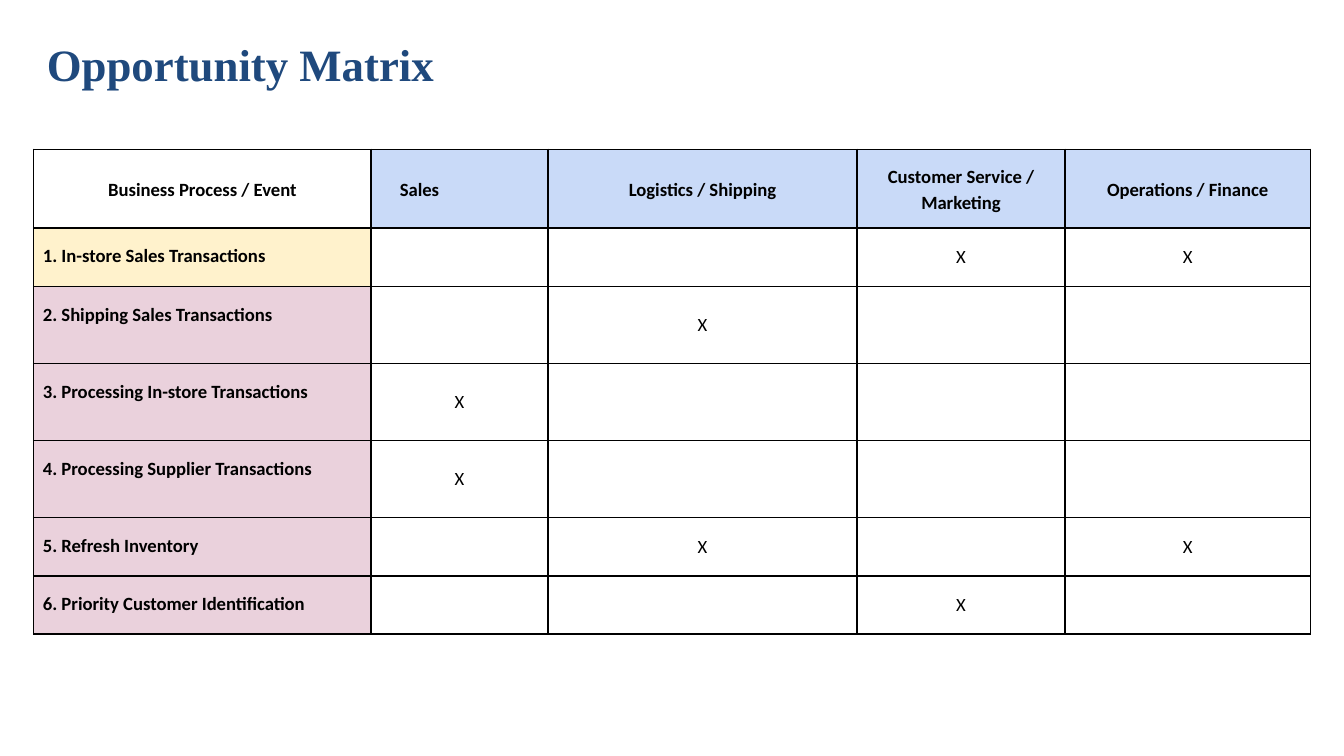
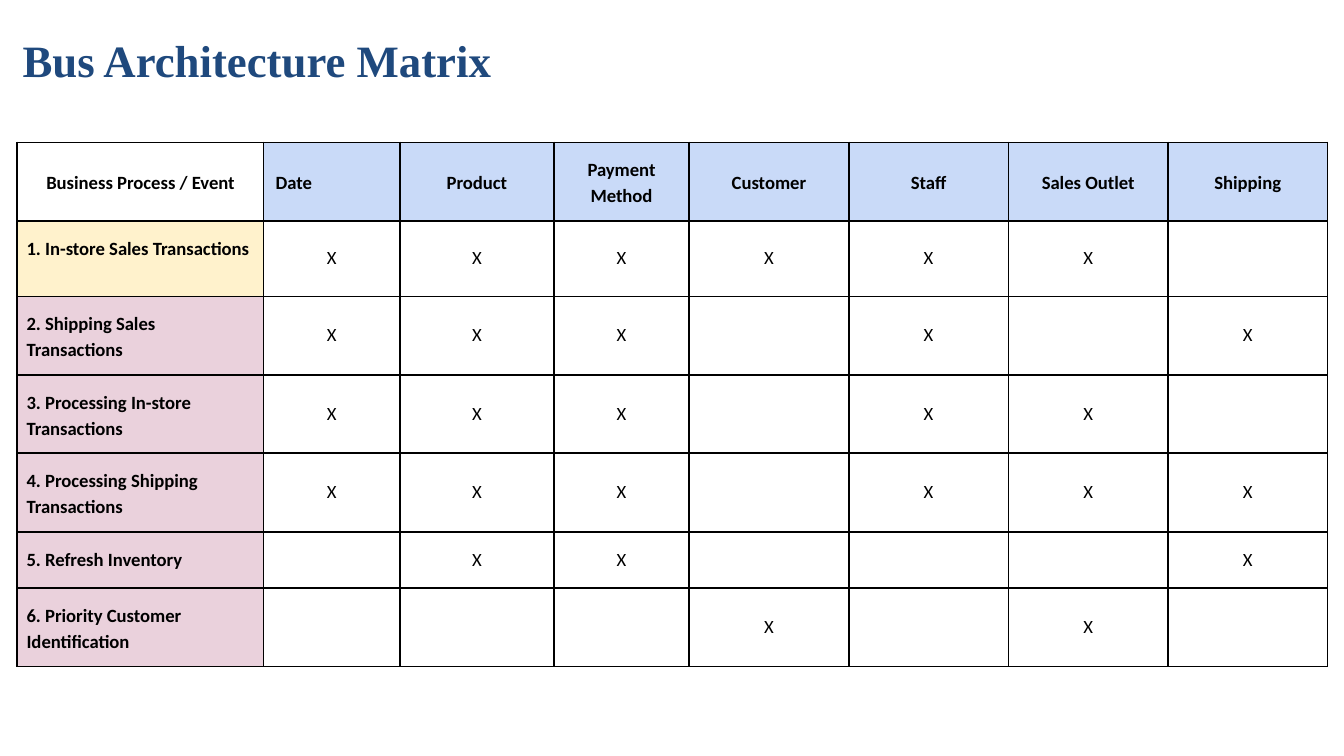
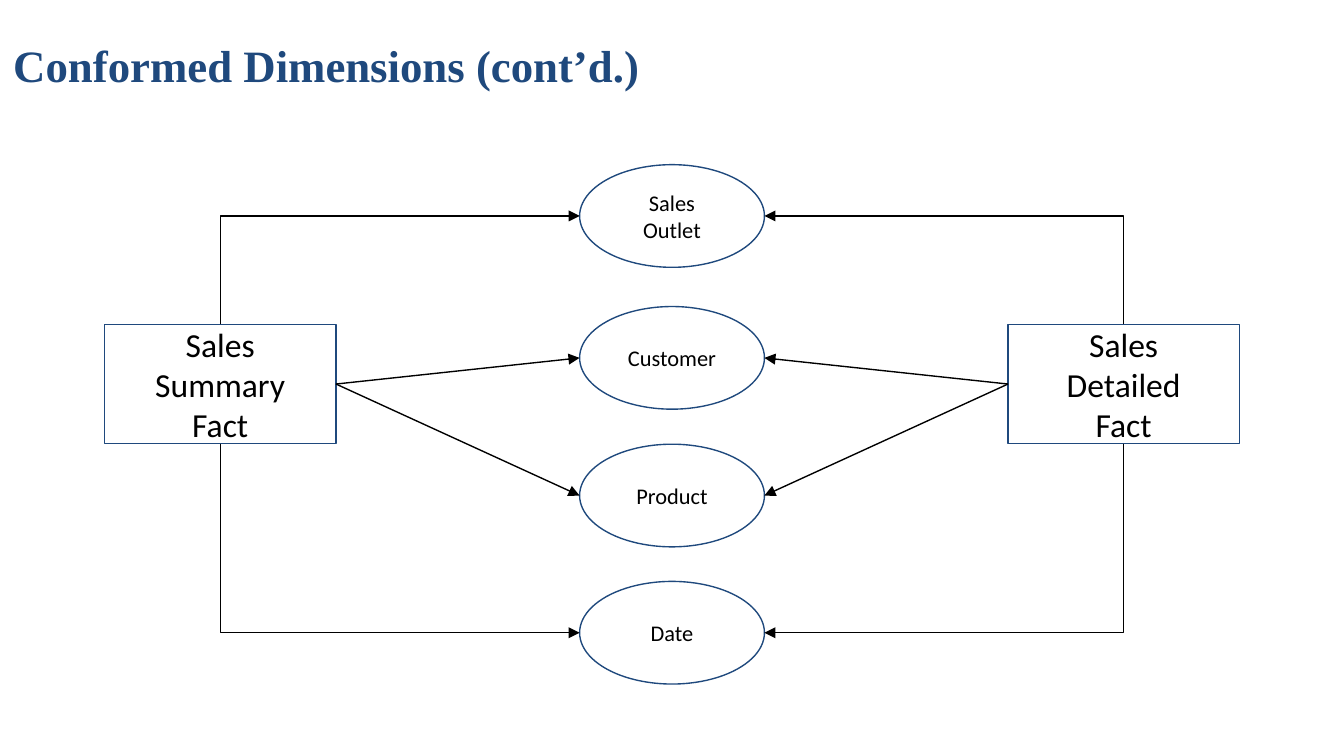
from dataclasses import dataclass

import pptx
import pptx.dml.color
import pptx.enum.shapes
import pptx.enum.text
import pptx.oxml
import pptx.oxml.ns
import pptx.util
from pptx.util import Pt

COLORS = {
    "navy": "1F497D",
    "black": "000000",
    "white": "FFFFFF",
    "dimension": "C9DAF8",
    "first_process": "FFF2CC",
    "process": "EAD1DC",
}
BODY_FONT = "Calibri"
TITLE_FONT = "Times New Roman"
SLIDE_WIDTH, SLIDE_HEIGHT = 720, 405
INSET = 7.2
CELL_INSET = 5
CENTER = pptx.enum.text.PP_ALIGN.CENTER
LEFT = pptx.enum.text.PP_ALIGN.LEFT
MIDDLE = pptx.enum.text.MSO_ANCHOR.MIDDLE
TOP = pptx.enum.text.MSO_ANCHOR.TOP
SHAPES = pptx.enum.shapes.MSO_SHAPE
CONNECTORS = pptx.enum.shapes.MSO_CONNECTOR


@dataclass
class Title:
    text: str
    left: float
    top: float
    spacing: float | None = None


@dataclass
class Matrix:
    left: float
    top: float
    columns: list[float]
    rows: list[float]
    dimensions: list[str]
    first_indent: float  # extra left inset of the first dimension heading
    processes: list[tuple[str, str]]  # label, one "X" or "." per dimension


@dataclass
class Node:
    text: str
    left: float
    top: float
    width: float
    height: float
    kind: int
    size: float

    @property
    def right(self) -> float:
        return self.left + self.width

    @property
    def bottom(self) -> float:
        return self.top + self.height

    @property
    def center(self) -> tuple[float, float]:
        return self.left + self.width / 2, self.top + self.height / 2


def rgb(name: str) -> pptx.dml.color.RGBColor:
    return pptx.dml.color.RGBColor.from_string(COLORS[name])


def write(frame, text: str, *, size: float, font: str = BODY_FONT, color: str = "black",
          bold: bool = False, align=LEFT, spacing: float | None = None) -> None:
    """Fill a text frame, one paragraph per line of text."""
    frame.word_wrap = True
    for number, line in enumerate(text.split("\n")):
        paragraph = frame.add_paragraph() if number else frame.paragraphs[0]
        paragraph.alignment = align
        paragraph.line_spacing = spacing
        run = paragraph.add_run()
        run.text = line
        run.font.size = Pt(size)
        run.font.name = font
        run.font.bold = bold
        run.font.color.rgb = rgb(color)


def set_insets(frame) -> None:
    frame.margin_left = frame.margin_right = Pt(INSET)
    frame.margin_top = frame.margin_bottom = Pt(INSET)
    frame.vertical_anchor = MIDDLE


def add_titled_slide(deck, title: Title):
    slide = deck.slides.add_slide(deck.slide_layouts[6])
    box = slide.shapes.add_textbox(Pt(title.left), Pt(title.top), Pt(671), Pt(45.4))
    set_insets(box.text_frame)
    write(box.text_frame, title.text, size=24, font=TITLE_FONT, color="navy",
          bold=True, spacing=title.spacing)
    return slide


def style_cell(cell, fill: str) -> None:
    """Give a cell its black border and its fill."""
    properties = cell._tc.get_or_add_tcPr()
    for side in ("lnL", "lnR", "lnT", "lnB"):
        properties.append(pptx.oxml.parse_xml(
            f'<a:{side} {pptx.oxml.ns.nsdecls("a")} w="{Pt(1)}"><a:solidFill>'
            f'<a:srgbClr val="{COLORS["black"]}"/></a:solidFill></a:{side}>'))
    cell.fill.solid()
    cell.fill.fore_color.rgb = rgb(fill)


def write_cell(cell, text: str, *, anchor=MIDDLE, indent: float = 0, **text_format) -> None:
    cell.margin_left, cell.margin_right = Pt(CELL_INSET + indent), Pt(CELL_INSET)
    cell.margin_top = cell.margin_bottom = Pt(INSET)
    cell.vertical_anchor = anchor
    write(cell.text_frame, text, size=10, **text_format)


def add_matrix(slide, matrix: Matrix) -> None:
    table = slide.shapes.add_table(
        len(matrix.rows), len(matrix.columns), Pt(matrix.left), Pt(matrix.top),
        Pt(sum(matrix.columns)), Pt(sum(matrix.rows))).table
    table.first_row = table.horz_banding = False
    for column, width in zip(table.columns, matrix.columns):
        column.width = Pt(width)
    for row, height in zip(table.rows, matrix.rows):
        row.height = Pt(height)

    for column, heading in enumerate(["Business Process / Event", *matrix.dimensions]):
        cell = table.cell(0, column)
        style_cell(cell, "dimension" if column else "white")
        is_first = column == 1
        write_cell(cell, heading, bold=True, spacing=1.15,
                   align=LEFT if is_first else CENTER,
                   indent=matrix.first_indent if is_first else 0)

    for row, (label, marks) in enumerate(matrix.processes, start=1):
        process = table.cell(row, 0)
        style_cell(process, "first_process" if row == 1 else "process")
        write_cell(process, f"{row}. {label}", anchor=TOP, bold=True, spacing=1.15)
        for column, mark in enumerate(marks, start=1):
            cell = table.cell(row, column)
            style_cell(cell, "white")
            if mark == "X":
                write_cell(cell, mark, align=CENTER)


def add_node(slide, node: Node) -> None:
    shape = slide.shapes.add_shape(node.kind, Pt(node.left), Pt(node.top),
                                   Pt(node.width), Pt(node.height))
    shape.shadow.inherit = False
    shape.fill.solid()
    shape.fill.fore_color.rgb = rgb("white")
    shape.line.color.rgb = rgb("navy")
    shape.line.width = Pt(0.75)
    set_insets(shape.text_frame)
    write(shape.text_frame, node.text, size=node.size, align=CENTER)


def add_arrow(slide, kind, start: tuple[float, float], end: tuple[float, float]):
    arrow = slide.shapes.add_connector(kind, *map(Pt, start + end))
    arrow.line.color.rgb = rgb("black")
    arrow.line.width = Pt(0.75)
    namespace = pptx.oxml.ns.nsdecls("a")
    arrow.line._get_or_add_ln().append(
        pptx.oxml.parse_xml(f'<a:tailEnd {namespace} type="triangle"/>'))
    arrow._element.spPr.append(pptx.oxml.parse_xml(f"<a:effectLst {namespace}/>"))
    return arrow


def add_elbow_arrow(slide, start: tuple[float, float], end: tuple[float, float]) -> None:
    """Draw an arrow that runs vertically from start, then horizontally to end."""
    (x0, y0), (x1, y1) = start, end
    middle_x, middle_y = (x0 + x1) / 2, (y0 + y1) / 2
    # The preset runs sideways first, so its box is a quarter turn from the drawn one.
    half_width, half_height = abs(y1 - y0) / 2, abs(x1 - x0) / 2
    arrow = add_arrow(slide, CONNECTORS.ELBOW,
                      (middle_x - half_width, middle_y - half_height),
                      (middle_x + half_width, middle_y + half_height))
    properties = arrow._element.spPr
    properties.find(pptx.oxml.ns.qn("a:prstGeom")).set("prst", "bentConnector2")
    goes_right, goes_up = x1 > x0, y1 < y0
    frame = properties.find(pptx.oxml.ns.qn("a:xfrm"))
    frame.set("rot", str((90 if goes_right == goes_up else 270) * 60000))
    frame.set("flipH", str(int(goes_right)))
    frame.set("flipV", str(int(goes_up)))


def add_star(slide) -> None:
    """Draw two fact tables that share four dimensions."""
    facts = [Node(f"Sales\n{level}\nFact", left, 173.75, 124, 64, SHAPES.RECTANGLE, 18)
             for level, left in (("Summary", 56), ("Detailed", 540))]
    dimensions = [Node(name, 310.5, top, 99, 55, SHAPES.OVAL, 12)
                  for name, top in (("Sales Outlet", 88.25), ("Customer", 164.25),
                                    ("Product", 238), ("Date", 311.5))]
    for node in facts + dimensions:
        add_node(slide, node)

    outlet, *inner, date = dimensions
    for fact in facts:
        on_left = fact.center[0] < SLIDE_WIDTH / 2
        fact_side = fact.right if on_left else fact.left
        dimension_side = outlet.left if on_left else outlet.right
        for dimension, edge in ((outlet, fact.top), (date, fact.bottom)):
            add_elbow_arrow(slide, (fact.center[0], edge),
                            (dimension_side, dimension.center[1]))
        for dimension in inner:
            add_arrow(slide, CONNECTORS.STRAIGHT, (fact_side, fact.center[1]),
                      (dimension_side, dimension.center[1]))


OPPORTUNITY = Matrix(
    left=18, top=80, columns=[180.75, 94.75, 165.75, 111.25, 131.5],
    rows=[41, 31.5, 41.25, 41.25, 41.25, 31.25, 31.25],
    dimensions=["Sales", "Logistics / Shipping", "Customer Service / Marketing",
                "Operations / Finance"],
    first_indent=10.5,
    processes=[
        ("In-store Sales Transactions", "..XX"),
        ("Shipping Sales Transactions", ".X.."),
        ("Processing In-store Transactions", "X..."),
        ("Processing Supplier Transactions", "X..."),
        ("Refresh Inventory", ".X.X"),
        ("Priority Customer Identification", "..X."),
    ])

BUS_ARCHITECTURE = Matrix(
    left=9.25, top=76.25, columns=[132, 73, 82.5, 72.5] + [85.5] * 4,
    rows=[40.5] * 5 + [30.25, 40.5],
    dimensions=["Date", "Product", "Payment Method", "Customer", "Staff",
                "Sales Outlet", "Shipping"],
    first_indent=1.5,
    processes=[
        ("In-store Sales Transactions", "XXXXXX."),
        ("Shipping Sales Transactions", "XXX.X.X"),
        ("Processing In-store Transactions", "XXX.XX."),
        ("Processing Shipping Transactions", "XXX.XXX"),
        ("Refresh Inventory", ".XX...X"),
        ("Priority Customer Identification", "...X.X."),
    ])


def main() -> None:
    deck = pptx.Presentation()
    deck.slide_width, deck.slide_height = Pt(SLIDE_WIDTH), Pt(SLIDE_HEIGHT)
    add_matrix(add_titled_slide(deck, Title("Opportunity Matrix", 18, 11.5)), OPPORTUNITY)
    add_matrix(add_titled_slide(deck, Title("Bus Architecture Matrix", 5, 9.5)),
               BUS_ARCHITECTURE)
    add_star(add_titled_slide(deck, Title("Conformed Dimensions (cont’d.)", 0, 10, 1.15)))
    deck.save("out.pptx")


if __name__ == "__main__":
    main()
